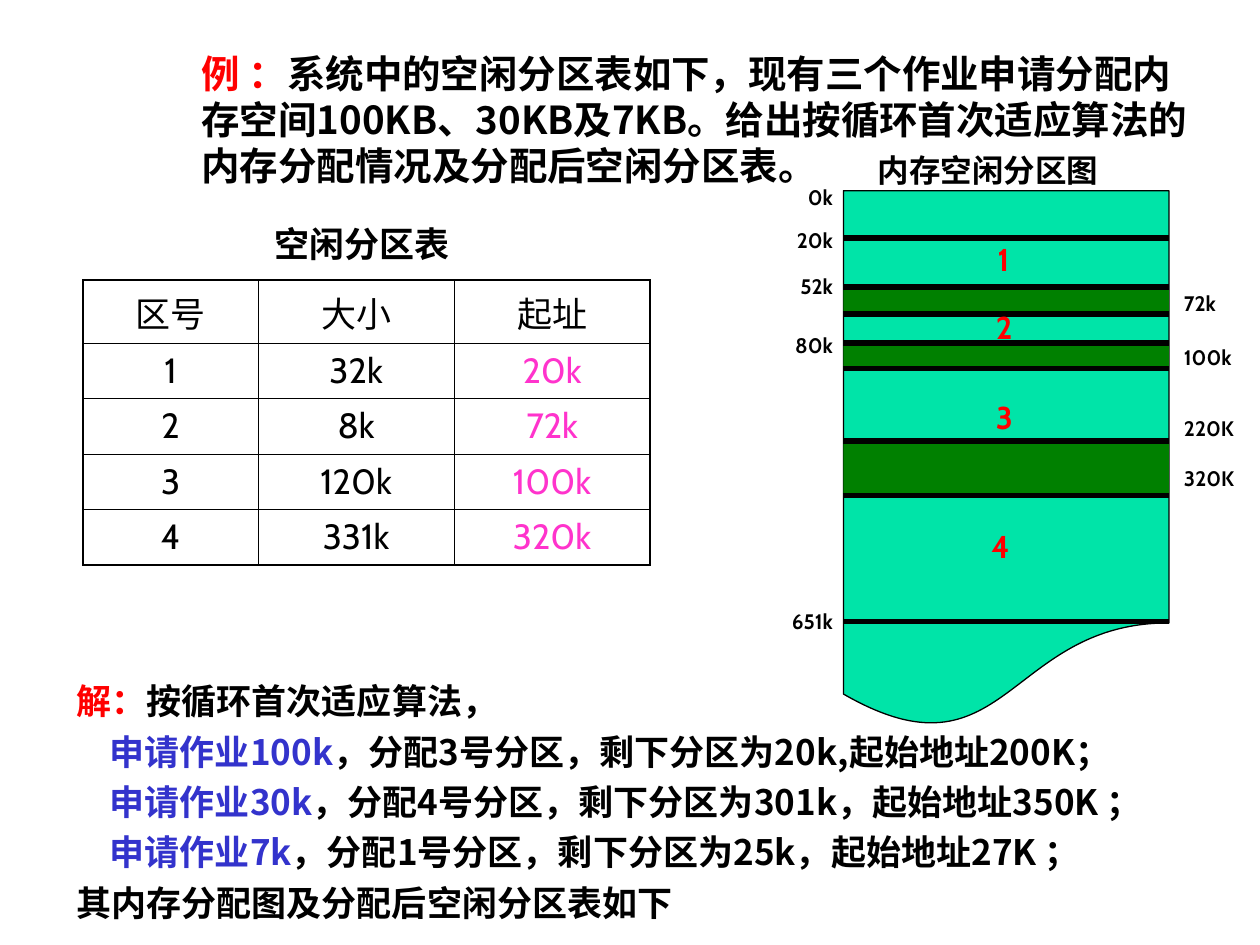
from dataclasses import dataclass
from typing import Optional

from lxml.etree import SubElement
from pptx import Presentation
from pptx.dml.color import RGBColor
from pptx.enum.shapes import MSO_CONNECTOR, MSO_SHAPE
from pptx.enum.text import MSO_ANCHOR, MSO_AUTO_SIZE, PP_ALIGN
from pptx.oxml.ns import qn
from pptx.util import Pt

COLORS = {
    "ink": "000000",
    "paper": "FFFFFF",
    "red": "FF0000",
    "blue": "3333CC",
    "pink": "FF33CC",
    "free": "00E4A8",
    "used": "008000",
}
CJK = "Noto Sans CJK SC"
LATIN = "Cabin"
MEMORY_LEFT, MEMORY_WIDTH = 482, 186


@dataclass
class Label:
    text: str
    left: float
    middle: float
    width: float
    size: float = 12
    color: str = "ink"
    align: PP_ALIGN = PP_ALIGN.LEFT
    font: str = LATIN
    height: float = 28


@dataclass
class Statement:
    lead: str
    rest: str
    lead_color: str = "ink"
    indent: float = 0


def rgb(name: str) -> RGBColor:
    return RGBColor.from_string(COLORS[name])


def style(paragraph, size: float, font: str, bold: Optional[bool] = True,
          color: str = "ink") -> None:
    paragraph.font.size = Pt(size)
    paragraph.font.name = font
    paragraph.font.bold = bold
    paragraph.font.color.rgb = rgb(color)


def place(shape, left: float, top: float, width: float, height: float) -> None:
    shape.left, shape.top = Pt(left), Pt(top)
    shape.width, shape.height = Pt(width), Pt(height)
    frame = shape.text_frame
    frame.word_wrap = True
    frame.auto_size = MSO_AUTO_SIZE.NONE
    frame.vertical_anchor = MSO_ANCHOR.TOP


def write_statement(paragraph, statement: Statement, size: float,
                    spacing: float) -> None:
    properties = paragraph._p.get_or_add_pPr()
    properties.set("marL", str(Pt(statement.indent)))
    properties.set("indent", "0")
    SubElement(properties, qn("a:buNone"))
    paragraph.alignment = PP_ALIGN.LEFT
    paragraph.line_spacing = spacing
    paragraph.space_before = Pt(0)
    style(paragraph, size, CJK)
    for text, color in ((statement.lead, statement.lead_color),
                        (statement.rest, "ink")):
        if text:
            run = paragraph.add_run()
            run.text = text
            run.font.color.rgb = rgb(color)


def add_label(slide, label: Label) -> None:
    box = slide.shapes.add_textbox(
        Pt(label.left), Pt(label.middle - label.height / 2),
        Pt(label.width), Pt(label.height))
    frame = box.text_frame
    frame.word_wrap = True
    frame.vertical_anchor = MSO_ANCHOR.MIDDLE
    paragraph = frame.paragraphs[0]
    paragraph.text = label.text
    paragraph.alignment = label.align
    style(paragraph, label.size, label.font, color=label.color)


def add_block(slide, kind: MSO_SHAPE, top: float, height: float, fill: str,
              outlined: bool = False) -> None:
    block = slide.shapes.add_shape(
        kind, Pt(MEMORY_LEFT), Pt(top), Pt(MEMORY_WIDTH), Pt(height))
    block.shadow.inherit = False
    block.fill.solid()
    block.fill.fore_color.rgb = rgb(fill)
    if outlined:
        block.line.color.rgb = rgb("ink")
        block.line.width = Pt(0.75)
    else:
        block.line.fill.background()


def add_boundary(slide, y: float) -> None:
    boundary = slide.shapes.add_connector(
        MSO_CONNECTOR.STRAIGHT, Pt(MEMORY_LEFT), Pt(y),
        Pt(MEMORY_LEFT + MEMORY_WIDTH), Pt(y))
    boundary.line.color.rgb = rgb("ink")
    boundary.line.width = Pt(3)
    SubElement(boundary._element.spPr, qn("a:effectLst"))


def set_borders(cell, outer_sides: dict) -> None:
    properties = cell._tc.get_or_add_tcPr()
    for position, (side, is_outer) in enumerate(outer_sides.items()):
        border = properties.makeelement(
            qn(f"a:{side}"), {"w": str(Pt(1.08 if is_outer else 0.45))})
        fill = SubElement(border, qn("a:solidFill"))
        SubElement(fill, qn("a:srgbClr"), val=COLORS["ink"])
        properties.insert(position, border)


def add_partition_table(slide, rows: list) -> None:
    widths = (100, 112, 112)
    last_row, last_column = len(rows) - 1, len(widths) - 1
    table = slide.shapes.add_table(
        len(rows), len(widths), Pt(47.5), Pt(160), Pt(sum(widths)),
        Pt(31.5 * len(rows))).table
    for column, width in zip(table.columns, widths):
        column.width = Pt(width)
    for r, values in enumerate(rows):
        for c, value in enumerate(values):
            cell = table.cell(r, c)
            cell.fill.background()
            set_borders(cell, {"lnL": c == 0, "lnR": c == last_column,
                               "lnT": r == 0, "lnB": r == last_row})
            paragraph = cell.text_frame.paragraphs[0]
            paragraph.text = value
            paragraph.alignment = PP_ALIGN.CENTER
            is_address = r > 0 and c == last_column
            style(paragraph, 20, LATIN, False, "pink" if is_address else "ink")


def main() -> None:
    presentation = Presentation()
    presentation.slide_width, presentation.slide_height = Pt(720), Pt(540)
    slide = presentation.slides.add_slide(presentation.slide_layouts[1])

    question = slide.shapes.title
    place(question, 108, 25, 582, 86.5)
    write_statement(question.text_frame.paragraphs[0], Statement(
        "例 ：", "系统中的空闲分区表如下，现有三个作业申请分配内存空间100KB、30KB及7KB。"
        "给出按循环首次适应算法的内存分配情况及分配后空闲分区表。", "red"), 22, 1)

    solution = slide.placeholders[1]
    place(solution, 36.5, 380, 683, 151)
    statements = [
        Statement("解：", "按循环首次适应算法，", "red"),
        Statement("申请作业100k", "，分配3号分区，剩下分区为20k,起始地址200K；", "blue", 19),
        Statement("申请作业30k", "，分配4号分区，剩下分区为301k，起始地址350K ；", "blue", 19),
        Statement("申请作业7k", "，分配1号分区，剩下分区为25k，起始地址27K ；", "blue", 19),
        Statement("", "其内存分配图及分配后空闲分区表如下"),
    ]
    frame = solution.text_frame
    for number, statement in enumerate(statements):
        paragraph = frame.add_paragraph() if number else frame.paragraphs[0]
        write_statement(paragraph, statement, 20, 1.2)

    add_partition_table(slide, [
        ("区号", "大小", "起址"),
        ("1", "32k", "20k"),
        ("2", "8k", "72k"),
        ("3", "120k", "100k"),
        ("4", "331k", "320k"),
    ])
    add_label(slide, Label("空闲分区表", 96, 139, 222, 20, align=PP_ALIGN.CENTER))

    add_block(slide, MSO_SHAPE.FLOWCHART_DOCUMENT, 109, 308, "free", True)
    for top, height in ((165.5, 13), (197.5, 12), (253, 29)):
        add_block(slide, MSO_SHAPE.RECTANGLE, top, height, "used")
    for y in (136, 164, 179.5, 196, 210.5, 252, 283, 355):
        add_boundary(slide, y)

    add_label(slide, Label("内存空闲分区图", 494.5, 97, 160, 18,
                           font="Times New Roman"))
    for text, middle in (("0k", 112.5), ("20k", 137), ("52k", 163.5),
                         ("80k", 197.5), ("651k", 355)):
        add_label(slide, Label(text, 405, middle, 78, align=PP_ALIGN.RIGHT))
    for text, middle in (("72k", 173), ("100k", 204), ("220K", 244.5),
                         ("320K", 273)):
        add_label(slide, Label(text, 669.5, middle, 50))
    for text, left, middle in (("1", 563, 148), ("2", 562, 187),
                               ("3", 562, 238), ("4", 559.5, 312)):
        add_label(slide, Label(text, left, middle, 25, 18, "red"))

    presentation.save("out.pptx")


if __name__ == "__main__":
    main()
